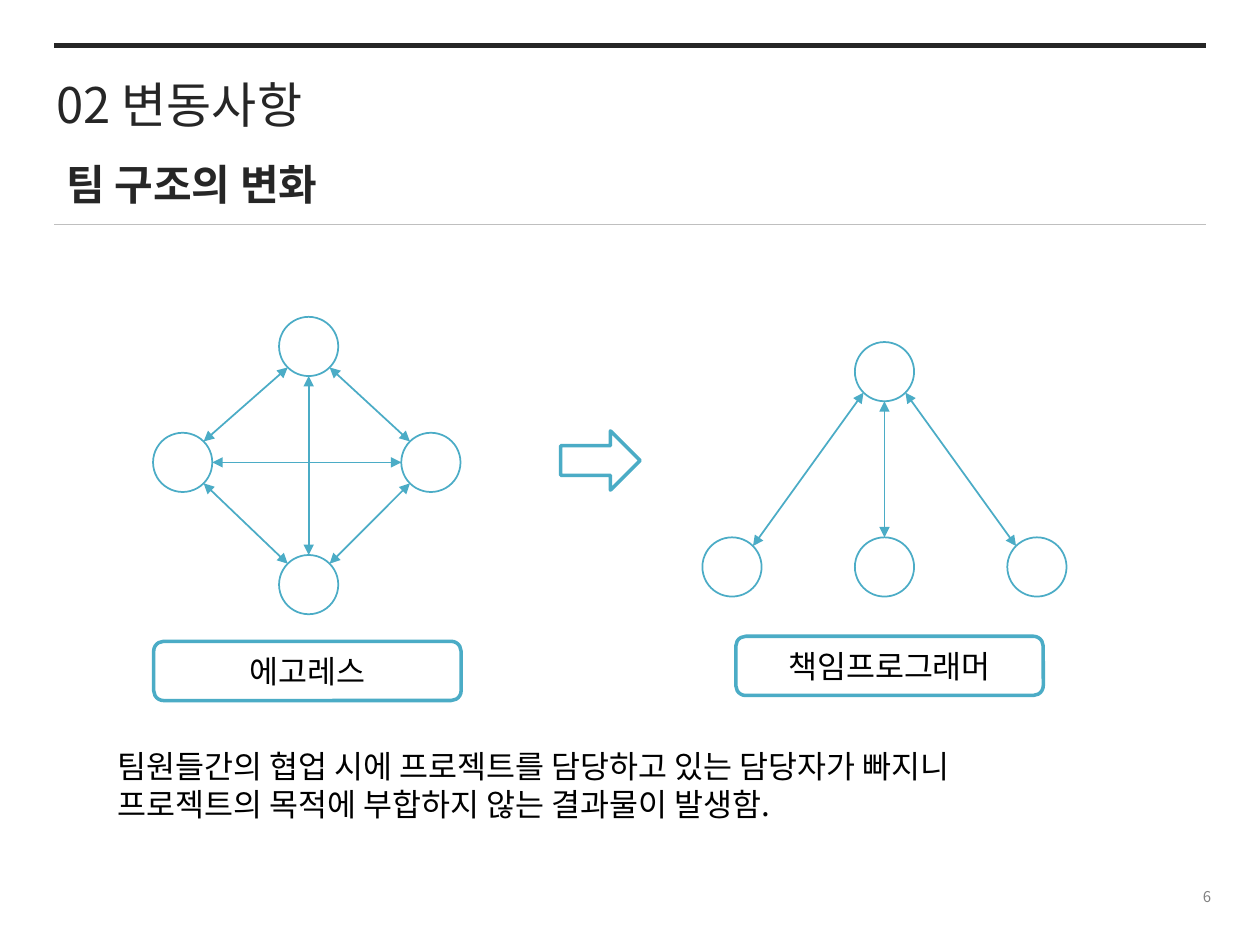
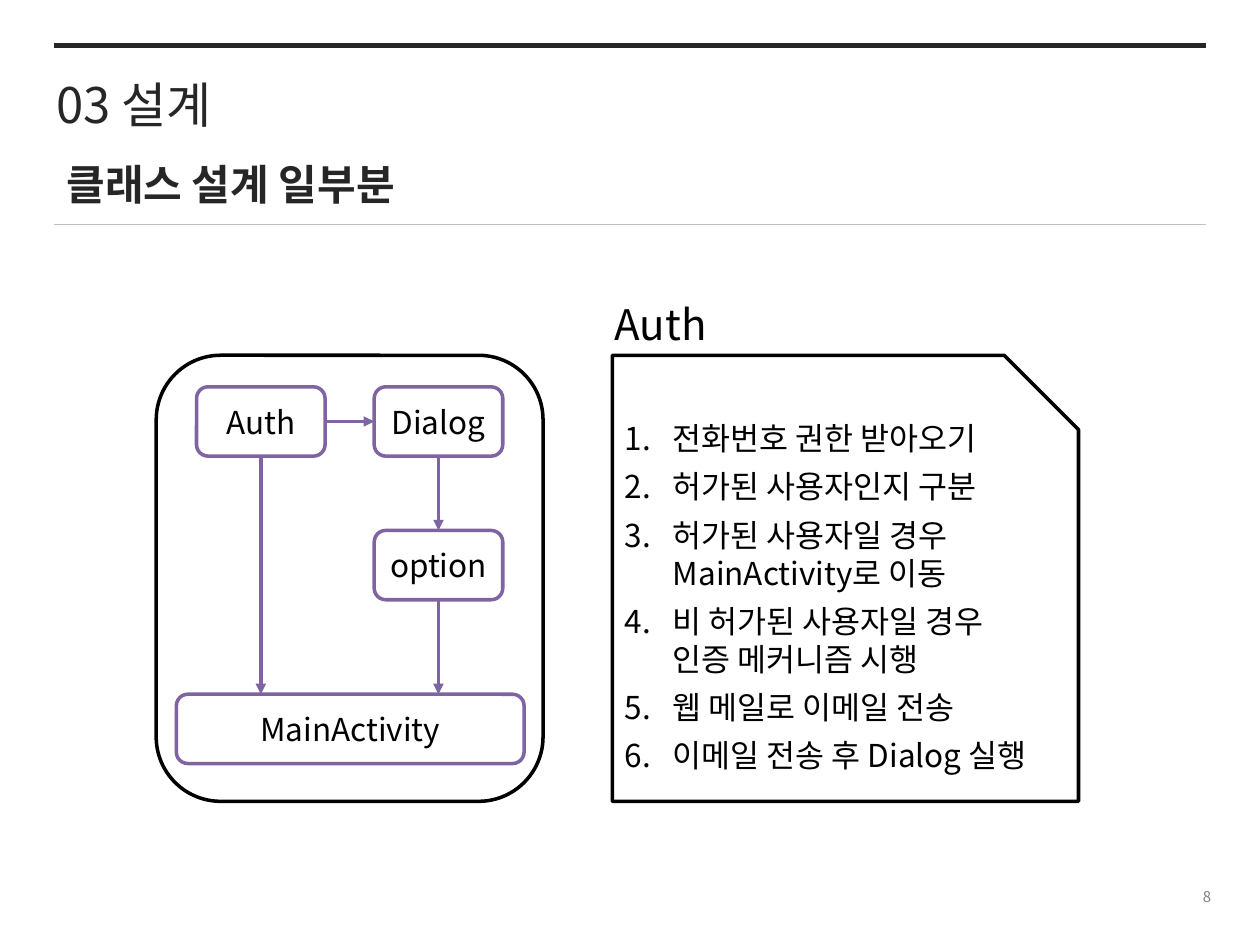
from math import sqrt

from pptx import Presentation
from pptx.dml.color import RGBColor as Rgb
from pptx.enum.shapes import MSO_CONNECTOR as Conn, MSO_SHAPE as Shape
from pptx.enum.text import MSO_ANCHOR as Anchor, MSO_AUTO_SIZE as Fit, PP_ALIGN as Align
from pptx.oxml.ns import qn
from pptx.util import Inches, Pt
from lxml.etree import SubElement as Sub

HUES = {"ink": "262626", "black": "000000", "white": "FFFFFF", "rule": "BFBFBF",
        "gray": "808080", "teal": "4BACC6", "plum": "8064A2"}
FONT = "Noto Sans CJK KR"
TOP, LEFT, BOTTOM, RIGHT = range(4)
DOT = 0.47


class Deck:
    """Holds the style and the current slide."""

    def __init__(self):
        self.prs = Presentation()
        self.prs.slide_width, self.prs.slide_height = Inches(10), Inches(7.5)

    def hue(self, name):
        return Rgb.from_string(HUES[name])

    # Text
    def text(self, frame, lines, size, hue="black", bold=False, anchor=Anchor.TOP,
             align=Align.LEFT, before=0, mark="buNone", hang=0):
        for key, val in {"word_wrap": True, "auto_size": Fit.NONE,
                         "vertical_anchor": anchor}.items():
            setattr(frame, key, val)
        for i, line in enumerate(lines):
            para = frame.add_paragraph() if i else frame.paragraphs[0]
            for key, val in {"alignment": align, "space_before": Pt(before)}.items():
                setattr(para, key, val)
            props = para._p.get_or_add_pPr()
            props.set("marL", str(Inches(hang)))
            props.set("indent", str(-Inches(hang)))
            bullet = Sub(props, qn("a:" + mark))
            if mark == "buAutoNum":
                bullet.set("type", "arabicPeriod")
            run = para.add_run()
            run.text = line
            for key, val in {"name": FONT, "size": Pt(size), "bold": bold}.items():
                setattr(run.font, key, val)
            run.font.color.rgb = self.hue(hue)
            Sub(run._r.get_or_add_rPr(), qn("a:ea")).set("typeface", FONT)

    def place(self, holder, box, lines, size, **fmt):
        for key, val in zip(("left", "top", "width", "height"), box):
            setattr(holder, key, Inches(val))
        self.text(holder.text_frame, lines, size, **fmt)

    def label(self, box, words, size, **fmt):
        holder = self.page.shapes.add_textbox(*map(Inches, box))
        self.text(holder.text_frame, [words], size, **fmt)

    def body(self, box, lines, **fmt):
        self.place(self.page.placeholders[1], box, lines, 18, **fmt)

    # Shapes
    def shape(self, kind, box, hue, width=2, fill=True, words=None):
        item = self.page.shapes.add_shape(kind, *map(Inches, box))
        item.shadow.inherit = False
        if fill:
            item.fill.solid()
            item.fill.fore_color.rgb = self.hue("white")
        else:
            item.fill.background()
        item.line.color.rgb = self.hue(hue)
        item.line.width = Pt(width)
        if words:
            self.text(item.text_frame, [words], 18, anchor=Anchor.MIDDLE,
                      align=Align.CENTER)
        return item

    def dot(self, mid):
        x, y = mid
        self.shape(Shape.OVAL, (x - DOT / 2, y - DOT / 2, DOT, DOT), "teal", 1)

    # Lines
    def line(self, start, end, hue, width, heads=()):
        item = self.page.shapes.add_connector(Conn.STRAIGHT, *map(Inches, start + end))
        item.line.color.rgb = self.hue(hue)
        item.line.width = Pt(width)
        props = item._element.spPr
        for head in heads:
            Sub(props.find(qn("a:ln")), qn("a:" + head)).set("type", "triangle")
        Sub(props, qn("a:effectLst"))
        return item

    def tie(self, one, two):
        """Two-headed arrow between the rims of two dots."""
        way = [(b > a) - (b < a) for a, b in zip(one, two)]
        reach = DOT / 2 / sqrt(sum(map(abs, way)))
        start = tuple(a + reach * w for a, w in zip(one, way))
        end = tuple(b - reach * w for b, w in zip(two, way))
        self.line(start, end, "teal", 1, ("headEnd", "tailEnd"))

    def link(self, one, side, two=None, entry=None, end=(0, 0)):
        """Arrow from a box to another box, or to a free end point."""
        item = self.line(end, end, "plum", 2, ("tailEnd",))
        item.begin_connect(one, side)
        if two is not None:
            item.end_connect(two, entry)

    # Shared frame of every slide
    def start(self, title, topic, number):
        self.page = self.prs.slides.add_slide(self.prs.slide_layouts[1])
        self.place(self.page.shapes.title, (0.35, 0.54, 7.56, 0.57), [title], 28, hue="ink")
        for y, hue, width in ((1.78, "rule", 0.75), (0.36, "ink", 3)):
            self.line((0.43, y), (9.57, y), hue, width)
        self.label((0.43, 1.21, 9.13, 0.5), topic, 24, hue="ink", bold=True)
        self.label((7.6, 6.98, 2.11, 0.27), number, 8.5, hue="gray",
                   anchor=Anchor.MIDDLE, align=Align.RIGHT)


def teams(deck):
    deck.start("02 변동사항", "팀 구조의 변화", "6")

    # Egoless team: everyone talks with everyone
    north, east, south, west = ring = [(2.45, 2.75), (3.42, 3.67), (2.45, 4.64), (1.45, 3.67)]
    pairs = list(zip(ring, ring[1:] + ring[:1])) + [(north, south), (west, east)]

    # Chief programmer team: one lead over a row of three
    lead = (7.02, 2.95)
    crew = [(lead[0] + step * 1.21, 4.5) for step in (-1, 0, 1)]
    pairs += [(lead, mate) for mate in crew]

    for mid in [*ring, lead, *crew]:
        deck.dot(mid)
    for one, two in pairs:
        deck.tie(one, two)

    # Change arrow and captions
    deck.shape(Shape.RIGHT_ARROW, (4.45, 3.42, 0.63, 0.47), "teal")
    for x, y, name in ((1.22, 5.09, "에고레스"), (5.84, 5.05, "책임프로그래머")):
        deck.shape(Shape.ROUNDED_RECTANGLE, (x, y, 2.44, 0.47), "teal", words=name)
    deck.body((0.83, 5.88, 8.27, 0.71),
              ["팀원들간의 협업 시에 프로젝트를 담당하고 있는 담당자가 빠지니",
               "프로젝트의 목적에 부합하지 않는 결과물이 발생함."])


def design(deck):
    deck.start("03 설계", "클래스 설계 일부분", "8")

    # Class boxes inside their frame
    deck.shape(Shape.ROUNDED_RECTANGLE, (1.24, 2.82, 3.07, 3.54), "black", fill=False)
    auth, dialog, option, _ = [
        deck.shape(Shape.ROUNDED_RECTANGLE, (x, y, w, 0.55), "plum", words=name)
        for x, y, w, name in ((1.56, 3.07, 1.02, "Auth"), (2.97, 3.07, 1.02, "Dialog"),
                              (2.97, 4.21, 1.02, "option"), (1.4, 5.51, 2.76, "MainActivity"))]
    deck.link(auth, RIGHT, dialog, LEFT)
    deck.link(dialog, BOTTOM, option, TOP)
    for box, x in ((auth, 2.07), (option, 3.48)):
        deck.link(box, BOTTOM, end=(x, 5.51))

    # Steps of the Auth class
    deck.label((4.78, 2.32, 1.18, 0.5), "Auth", 24)
    deck.shape(Shape.SNIP_1_RECTANGLE, (4.86, 2.82, 3.7, 3.54), "black", fill=False)
    deck.body((4.86, 3.11, 3.4, 3.25),
              ["전화번호 권한 받아오기", "허가된 사용자인지 구분",
               "허가된 사용자일 경우 MainActivity로 이동",
               "비 허가된 사용자일 경우 인증 메커니즘 시행",
               "웹 메일로 이메일 전송", "이메일 전송 후 Dialog 실행"],
              anchor=Anchor.MIDDLE, before=6, mark="buAutoNum", hang=0.38)


if __name__ == "__main__":
    deck = Deck()
    teams(deck)
    design(deck)
    deck.prs.save("out.pptx")
